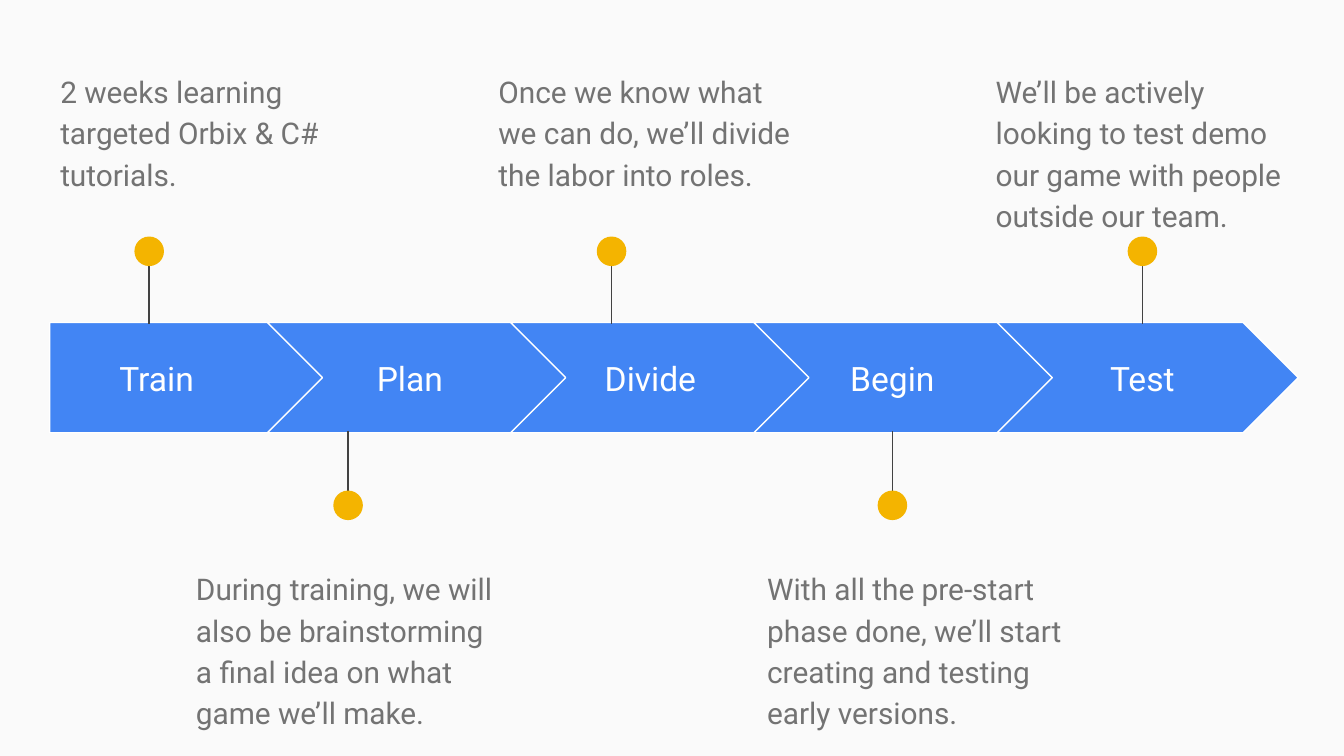
from lxml.etree import SubElement
from pptx import Presentation
from pptx.dml.color import RGBColor
from pptx.enum.shapes import MSO_CONNECTOR, MSO_SHAPE
from pptx.enum.text import MSO_ANCHOR, PP_ALIGN
from pptx.oxml.ns import qn
from pptx.util import Inches, Pt

PAPER = RGBColor(0xFA, 0xFA, 0xFA)
BLUE = RGBColor(0x42, 0x85, 0xF4)
GOLD = RGBColor(0xF4, 0xB4, 0x00)
WHITE = RGBColor(0xFF, 0xFF, 0xFF)
DARK = RGBColor(0x42, 0x42, 0x42)
GRAY = RGBColor(0x73, 0x73, 0x73)
FONT = "Roboto"

# Phases: name, name left, name width, pin centre, note left, note
PHASES = [
    ("Train", 0.37, 1.59, 1.11, 0.35,
     "2 weeks learning targeted Orbix & C# tutorials."),
    ("Plan", 2.33, 1.44, 2.59, 1.36,
     "During training, we will also be brainstorming a final idea "
     "on what game we’ll make."),
    ("Divide", 4.12, 1.44, 4.55, 3.61,
     "Once we know what we can do, we’ll divide the labor into roles."),
    ("Begin", 5.92, 1.44, 6.64, 5.61,
     "With all the pre-start phase done, we’ll start creating and "
     "testing early versions."),
    ("Test", 7.78, 1.44, 8.5, 7.31,
     "We’ll be actively looking to test demo our game with people "
     "outside our team."),
]

# Arrow band
LEFT, TOP, HIGH = 0.37, 2.4, 0.82
FIRST, STEP, WIDE = 1.99, 1.81, 2.24
DOT = 0.22

# Above and below the band: line start, line end, dot top, note top
ABOVE = (1.8, 2.41, 1.76, 0.41)
BELOW = (3.82, 3.21, 3.65, 4.11)


def add_form(slide, kind, x, y, w, h, fill):
    form = slide.shapes.add_shape(
        kind, Inches(x), Inches(y), Inches(w), Inches(h))
    form.shadow.inherit = False
    form.fill.solid()
    form.fill.fore_color.rgb = fill
    form.line.fill.background()
    return form


def add_text(slide, text, x, y, w, h, size, color):
    box = slide.shapes.add_textbox(
        Inches(x), Inches(y), Inches(w), Inches(h))
    frame = box.text_frame
    frame.word_wrap = True
    frame.margin_left = frame.margin_right = Inches(0.1)
    frame.margin_top = frame.margin_bottom = Inches(0.1)
    para = frame.paragraphs[0]
    run = para.add_run()
    run.text = text
    run.font.name = FONT
    run.font.size = Pt(size)
    run.font.color.rgb = color
    return frame, para


def add_arrow(slide, num):
    if num == 0:
        kind, x, w = MSO_SHAPE.PENTAGON, LEFT, 2.05
    else:
        kind, x, w = MSO_SHAPE.CHEVRON, FIRST + (num - 1) * STEP, WIDE
    arrow = add_form(slide, kind, x, TOP, w, HIGH, BLUE)
    arrow.adjustments[0] = 0.5
    arrow.line.color.rgb = WHITE
    arrow.line.width = Pt(0.75)


def add_pin(slide, x, start, end, top):
    stem = slide.shapes.add_connector(
        MSO_CONNECTOR.STRAIGHT,
        Inches(x), Inches(start), Inches(x), Inches(end))
    stem.line.color.rgb = DARK
    stem.line.width = Pt(0.75)
    SubElement(stem.element.spPr, qn("a:effectLst"))
    add_form(slide, MSO_SHAPE.OVAL, x - DOT / 2, top, DOT, DOT, GOLD)


def main():
    # Widescreen, 16 to 9
    deck = Presentation()
    deck.slide_width = Inches(10)
    deck.slide_height = Inches(10) * 9 // 16
    slide = deck.slides.add_slide(deck.slide_layouts[6])
    slide.background.fill.solid()
    slide.background.fill.fore_color.rgb = PAPER

    for num, (name, x, w, pin, left, note) in enumerate(PHASES):
        start, end, dot, top = BELOW if num % 2 else ABOVE

        # Arrow and its name
        add_arrow(slide, num)
        frame, para = add_text(slide, name, x, 2.56, w, 0.51, 18, WHITE)
        frame.vertical_anchor = MSO_ANCHOR.MIDDLE
        para.alignment = PP_ALIGN.CENTER

        # Pin and note
        add_pin(slide, pin, start, end, dot)
        frame, para = add_text(slide, note, left, top, 2.45, 0.99, 16, GRAY)
        para.line_spacing = 1.15
        para.space_after = Pt(16)

    deck.save("out.pptx")


if __name__ == "__main__":
    main()
